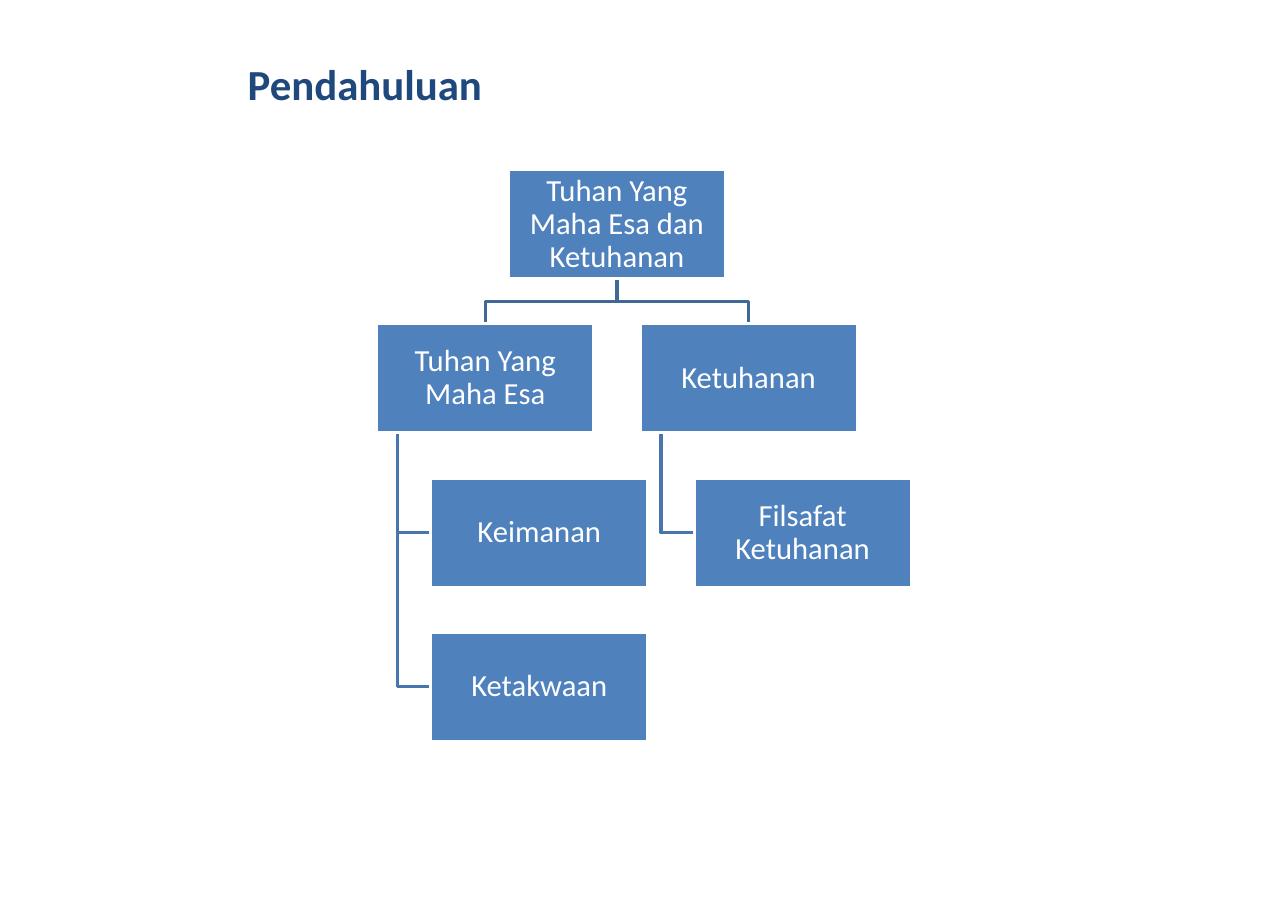
from pptx import Presentation
from pptx import util as u
from pptx.dml.color import RGBColor
from pptx.enum import shapes, text

TITLE = "Pendahuluan"
ROOT = "Tuhan Yang Maha Esa dan Ketuhanan"
BRANCHES = [
    ("Tuhan Yang Maha Esa", ["Keimanan", "Ketakwaan"]),
    ("Ketuhanan", ["Filsafat Ketuhanan"]),
]

THEME = {
    "font": "Calibri", "title_size": 28, "box_size": 20, "line_width": 2,
    "title": "1F497D", "box": "4F81BD", "box_text": "FFFFFF",
    "outline": "FFFFFF", "root_line": "3F6797", "leaf_line": "4875AC",
}

BOX_W, BOX_H = 1.97, 0.99
TOP, ROW_STEP = 1.54, 1.4
LEFT, COLUMN_STEP = 3.42, 2.39
LEAF_INDENT, TRUNK_INDENT = 0.49, 0.19
INSET = 0.01


def color(name):
    return RGBColor.from_string(THEME[name])


def set_font(p, size, name, bold=False):
    p.font.name = THEME["font"]
    p.font.size = u.Pt(THEME[size])
    p.font.bold = bold
    p.font.color.rgb = color(name)


def add_link(s, points, name):
    pts = [(u.Inches(x), u.Inches(y)) for x, y in points]
    builder = s.shapes.build_freeform(*pts[0])
    builder.add_line_segments(pts[1:], close=False)
    sp = builder.convert_to_shape()
    sp.shadow.inherit = False
    sp.fill.background()
    sp.line.color.rgb = color(name)
    sp.line.width = u.Pt(THEME["line_width"])


def add_box(s, label, x, y):
    sp = s.shapes.add_shape(shapes.MSO_SHAPE.RECTANGLE, *map(u.Inches, (x, y, BOX_W, BOX_H)))
    sp.shadow.inherit = False
    sp.fill.solid()
    sp.fill.fore_color.rgb = color("box")
    sp.line.color.rgb = color("outline")
    sp.line.width = u.Pt(THEME["line_width"])
    tf = sp.text_frame
    tf.word_wrap = True
    tf.vertical_anchor = text.MSO_ANCHOR.MIDDLE
    tf.margin_left = tf.margin_right = tf.margin_top = tf.margin_bottom = u.Inches(INSET)
    p = tf.paragraphs[0]
    p.text = label
    p.alignment = text.PP_ALIGN.CENTER
    p.line_spacing = 0.9
    set_font(p, "box_size", "box_text")


def layout():
    root_x = LEFT + COLUMN_STEP * (len(BRANCHES) - 1) / 2
    root_mid, root_bottom = root_x + BOX_W / 2, TOP + BOX_H
    branch_y = TOP + ROW_STEP
    bar_y = (root_bottom + branch_y) / 2
    boxes, links = [(ROOT, root_x, TOP)], []
    for column, (branch, leaves) in enumerate(BRANCHES):
        x = LEFT + column * COLUMN_STEP
        mid, trunk, leaf_x = x + BOX_W / 2, x + TRUNK_INDENT, x + LEAF_INDENT
        boxes.append((branch, x, branch_y))
        links.append(([(root_mid, root_bottom), (root_mid, bar_y), (mid, bar_y), (mid, branch_y)],
                      "root_line"))
        for row, leaf in enumerate(leaves, 1):
            y = branch_y + row * ROW_STEP
            leaf_mid = y + BOX_H / 2
            boxes.append((leaf, leaf_x, y))
            links.append(([(trunk, branch_y + BOX_H), (trunk, leaf_mid), (leaf_x, leaf_mid)],
                          "leaf_line"))
    return boxes, links


def main():
    prs = Presentation()
    prs.slide_width, prs.slide_height = u.Inches(11.69), u.Inches(8.27)
    s = prs.slides.add_slide(prs.slide_layouts[6])

    tf = s.shapes.add_textbox(*map(u.Inches, (2.15, 0.47, 9.39, 0.57))).text_frame
    tf.word_wrap = True
    p = tf.paragraphs[0]
    p.text = TITLE
    set_font(p, "title_size", "title", bold=True)

    boxes, links = layout()
    for points, name in links:
        add_link(s, points, name)
    for label, x, y in boxes:
        add_box(s, label, x, y)

    prs.save("out.pptx")


if __name__ == "__main__":
    main()
